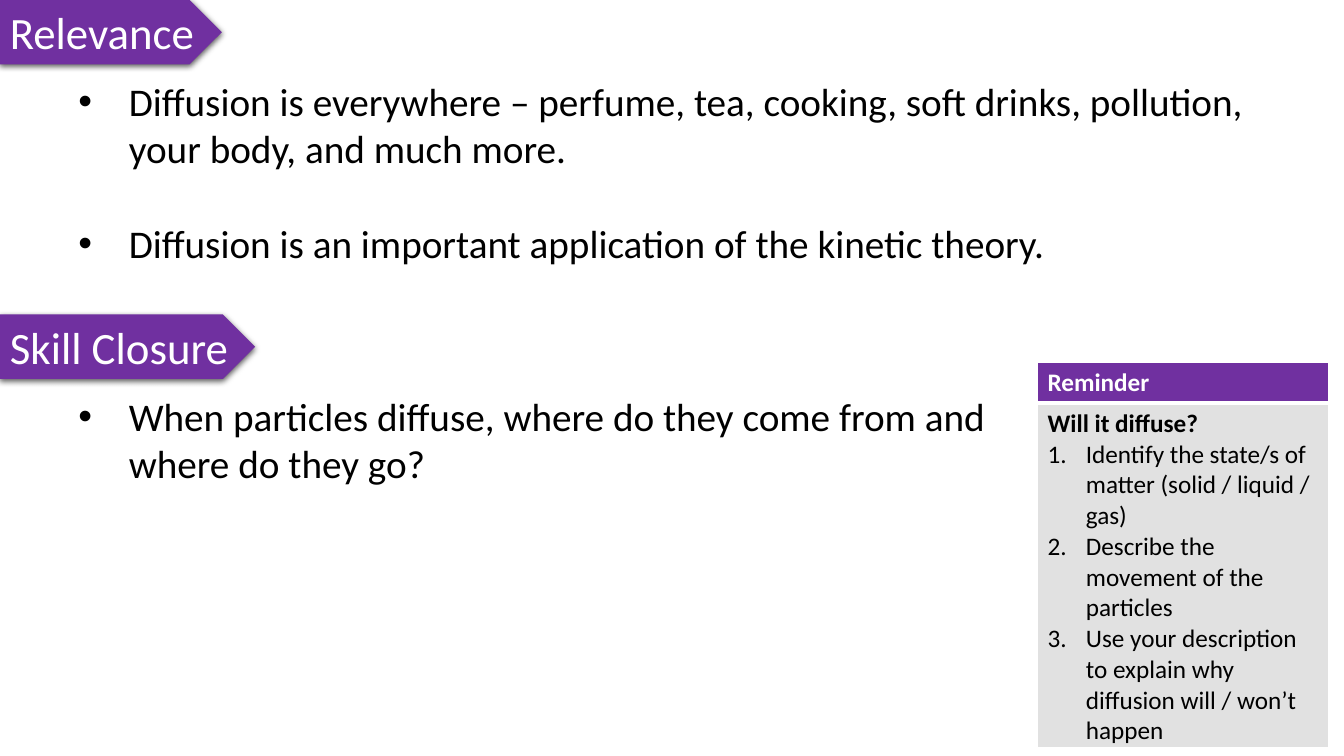
import pptx
import pptx.dml.color
import pptx.enum.shapes
import pptx.enum.text
import pptx.oxml
import pptx.oxml.ns
import pptx.util
from dataclasses import dataclass
from lxml import etree

Inches = pptx.util.Inches
Pt = pptx.util.Pt
qn = pptx.oxml.ns.qn


@dataclass(frozen=True)
class Theme:
    font: str = "Calibri"
    accent: str = "7030A0"
    panel: str = "E1E1E1"
    light: str = "FFFFFF"
    dark: str = "000000"
    heading_size: int = 32
    body_size: int = 28
    reminder_size: int = 18


THEME = Theme()


def rgb(value):
    return pptx.dml.color.RGBColor.from_string(value)


def set_attributes(target, values):
    for name, value in values.items():
        setattr(target, name, value)


def write_paragraphs(frame, lines, size, color, bold=False):
    """Fill a text frame and return its paragraphs."""
    for index, line in enumerate(lines):
        paragraph = frame.paragraphs[0] if index == 0 else frame.add_paragraph()
        run = paragraph.add_run()
        run.text = line
        set_attributes(run.font, {"name": THEME.font, "size": Pt(size), "bold": bold})
        run.font.color.rgb = rgb(color)
    return frame.paragraphs


def add_list_marker(paragraph, indent, tag, **attributes):
    properties = paragraph._p.get_or_add_pPr()
    properties.set("marL", str(Inches(indent)))
    properties.set("indent", str(-Inches(indent)))
    if tag == "a:buChar":
        etree.SubElement(properties, qn("a:buFont")).set("typeface", "Arial")
    etree.SubElement(properties, qn(tag), attributes)


def add_soft_shadow(shape):
    shape.shadow.inherit = False
    effects = shape._element.spPr.find(qn("a:effectLst"))
    shadow = etree.SubElement(effects, qn("a:outerShdw"), {
        "blurRad": str(Pt(4.5)), "dist": str(Pt(1.5)),
        "dir": "5400000", "algn": "t", "rotWithShape": "0"})
    color = etree.SubElement(shadow, qn("a:srgbClr"), val=THEME.dark)
    etree.SubElement(color, qn("a:alpha"), val="63000")


def add_heading(slide, top, width, title):
    """Purple arrow tab at the left edge of the slide."""
    tab = slide.shapes.add_shape(
        pptx.enum.shapes.MSO_SHAPE.PENTAGON, 0, Inches(top), Inches(width), Inches(0.64))
    tab.fill.solid()
    tab.fill.fore_color.rgb = rgb(THEME.accent)
    tab.line.fill.background()
    add_soft_shadow(tab)
    set_attributes(tab.text_frame, {
        "word_wrap": False,
        "auto_size": pptx.enum.text.MSO_AUTO_SIZE.SHAPE_TO_FIT_TEXT,
        "vertical_anchor": pptx.enum.text.MSO_ANCHOR.TOP})
    title_line = write_paragraphs(
        tab.text_frame, [title], THEME.heading_size, THEME.light)[0]
    title_line.alignment = pptx.enum.text.PP_ALIGN.LEFT


def add_section(slide, top, tab_width, title, points, width, height):
    """Heading tab with its bullet points below."""
    add_heading(slide, top, tab_width, title)
    body = slide.shapes.add_textbox(
        Inches(0.68), Inches(top + 0.72), Inches(width), Inches(height))
    body.text_frame.word_wrap = True
    paragraphs = write_paragraphs(
        body.text_frame, points, THEME.body_size, THEME.dark)
    for index, point in enumerate(paragraphs):
        add_list_marker(point, 0.5, "a:buChar", char="•")
        if index:
            point.space_before = Pt(34)


def style_cell(cell, fill, borders):
    cell.fill.solid()
    cell.fill.fore_color.rgb = rgb(fill)
    properties = cell._tc.get_or_add_tcPr()
    for index, (side, width) in enumerate(borders.items()):
        line = etree.Element(qn(f"a:ln{side}"), w=str(Pt(width)))
        solid = etree.SubElement(line, qn("a:solidFill"))
        etree.SubElement(solid, qn("a:srgbClr"), val=THEME.light)
        properties.insert(index, line)


def add_reminder(slide, left, top, width, title, question, steps):
    """Two-row reminder panel with numbered steps."""
    row_heights = (0.38, 3.42)
    reminder = slide.shapes.add_table(
        2, 1, Inches(left), Inches(top), Inches(width), Inches(sum(row_heights))).table
    reminder.horz_banding = False
    for row, height in zip(reminder.rows, row_heights):
        row.height = Inches(height)

    header, body = reminder.cell(0, 0), reminder.cell(1, 0)
    style_cell(header, THEME.accent, {"L": 1, "R": 1, "T": 1, "B": 3})
    style_cell(body, THEME.panel, {"L": 1, "R": 1, "T": 3, "B": 1})
    write_paragraphs(header.text_frame, [title], THEME.reminder_size, THEME.light, True)
    lines = write_paragraphs(
        body.text_frame, [question, *steps], THEME.reminder_size, THEME.dark)
    lines[0].runs[0].font.bold = True
    for step in lines[1:]:
        add_list_marker(step, 0.38, "a:buAutoNum", type="arabicPeriod")


def main():
    presentation = pptx.Presentation()
    set_attributes(presentation, {
        "slide_width": Inches(13.33), "slide_height": Inches(7.5)})
    slide = presentation.slides.add_slide(presentation.slide_layouts[6])

    add_section(slide, 0, 2.2, "Relevance", [
        "Diffusion is everywhere – perfume, tea, cooking, soft drinks, pollution, "
        "your body, and much more.",
        "Diffusion is an important application of the kinetic theory.",
    ], 12.26, 1.99)
    add_section(slide, 3.12, 2.53, "Skill Closure", [
        "When particles diffuse, where do they come from and where do they go?",
    ], 9.47, 1.51)
    add_reminder(slide, 10.29, 3.6, 2.89, "Reminder", "Will it diffuse?", [
        "Identify the state/s of matter (solid / liquid / gas)",
        "Describe the movement of the particles",
        "Use your description to explain why diffusion will / won’t happen",
    ])
    presentation.save("out.pptx")


if __name__ == "__main__":
    main()
